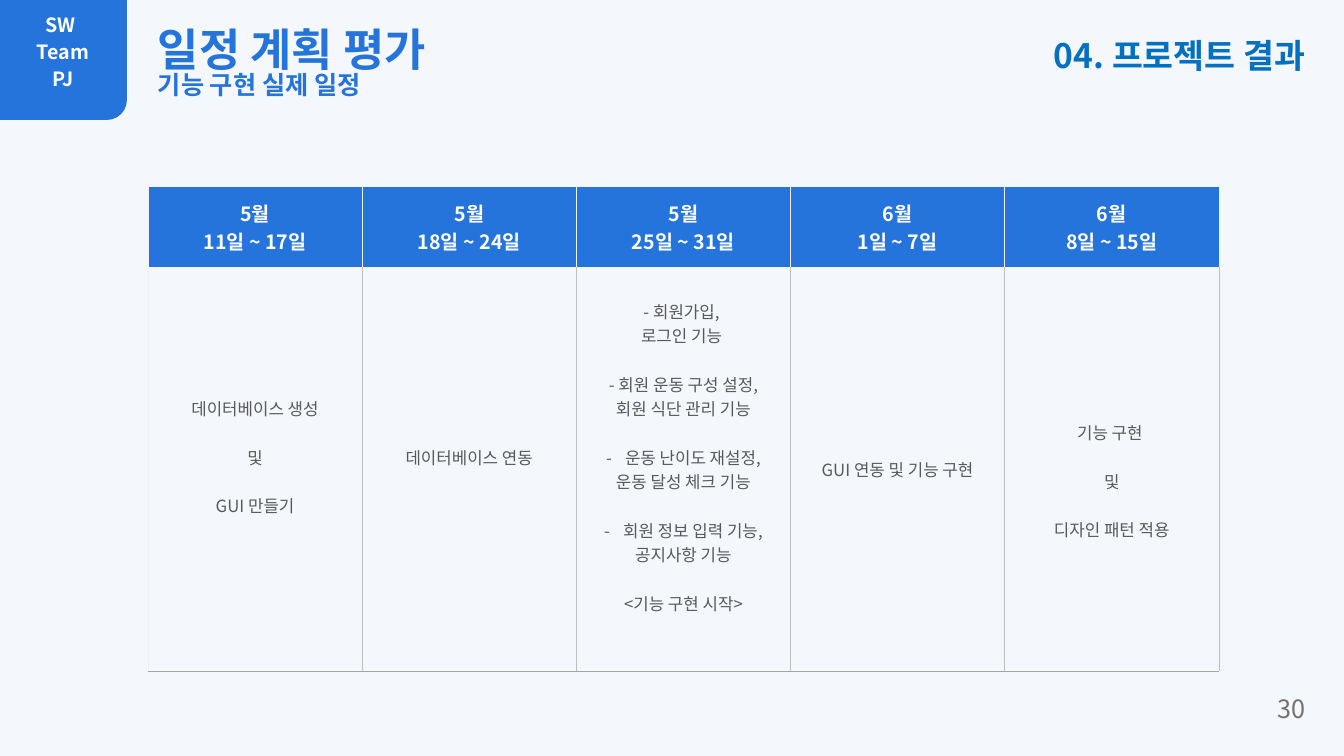
"""Build the project schedule review slide."""
from lxml import etree
from pptx import Presentation
from pptx.dml.color import RGBColor
from pptx.enum.shapes import MSO_SHAPE
from pptx.enum.text import MSO_ANCHOR, PP_ALIGN
from pptx.oxml.ns import qn
from pptx.util import Pt

LEFT, CENTER, RIGHT = PP_ALIGN.LEFT, PP_ALIGN.CENTER, PP_ALIGN.RIGHT
MIDDLE = MSO_ANCHOR.MIDDLE
ROUND_CORNER = MSO_SHAPE.ROUND_1_RECTANGLE

FONT = "Noto Sans CJK KR"
BLUE, WHITE, BODY_GRAY = "2574DB", "FFFFFF", "595959"
HEADER_RULE, COLUMN_RULE, BOTTOM_RULE = ("F2F2F2", 0.5), ("BFBFBF", 0.5), ("A6A6A6", 0.75)

SLIDE_SIZE = (1344, 756)
TAB_BOX = (0, 0, 127, 120)
TABLE_BOX = (148, 187, 1071, 484)
HEADER_HEIGHT = 80
GROUP_GAP = 17.4
BULLET_INDENT = 19
CELL_MARGIN = 5

# box, alignment, space after, lines of (text, size, colour, bold, line spacing)
LABELS = [
    ((148, 17, 662, 105), LEFT, 0, [("일정 계획 평가", 32, BLUE, True, 1.0),
                                    ("기능 구현 실제 일정", 18, BLUE, True, 0.78)]),
    ((20, 8, 86, 105), CENTER, 2.5, [(word, 14, WHITE, True, 1.0)
                                     for word in ("SW ", " Team ", "PJ")]),
    ((1194, 688, 121, 47), RIGHT, 0, [("30", 18, "767171", False, 1.0)]),
    ((790, 30, 525, 59), RIGHT, 0, [("04. 프로젝트 결과", 24, "0070C0", True, 1.0)]),
]

# month, days, extra top margin, extra bottom margin, groups of (bulleted, lines)
WEEKS = [
    ("5월", "11일 ~ 17일", 0, 24, [
        (False, ["데이터베이스 생성"]), (False, ["및"]), (False, ["GUI 만들기"])]),
    ("5월", "18일 ~ 24일", 0, 24, [(False, ["데이터베이스 연동"])]),
    ("5월", "25일 ~ 31일", 0, 24, [
        (False, ["- 회원가입, ", "로그인 기능 "]),
        (False, ["- 회원 운동 구성 설정,", "회원 식단 관리 기능"]),
        (True, ["운동 난이도 재설정,", "운동 달성 체크 기능"]),
        (True, ["회원 정보 입력 기능,", "공지사항 기능"]),
        (False, ["<기능 구현 시작>"])]),
    ("6월", "1일 ~ 7일", 0, 0, [(False, ["GUI 연동 및 기능 구현"])]),
    ("6월", "8일 ~ 15일", 24, 0, [
        (False, ["기능 구현 "]), (False, ["및"]), (False, ["디자인 패턴 적용"])]),
]


def px(length):
    return round(length * 914400 / 100.8)


def rgb(value):
    return RGBColor.from_string(value)


def add_line(frame, first, text, size, color, bold, align):
    paragraph = frame.paragraphs[0] if first else frame.add_paragraph()
    paragraph.alignment = align
    run = paragraph.add_run()
    run.text = text
    font = run.font
    font.name, font.size, font.bold = FONT, Pt(size), bold
    font.color.rgb = rgb(color)
    etree.SubElement(run._r.get_or_add_rPr(), qn("a:ea"), typeface=FONT)
    return paragraph


def add_bullet(paragraph):
    properties = paragraph._p.get_or_add_pPr()
    properties.set("marL", str(px(BULLET_INDENT)))
    properties.set("indent", str(-px(BULLET_INDENT)))
    etree.SubElement(properties, qn("a:buFont"), typeface=FONT)
    etree.SubElement(properties, qn("a:buChar"), char="-")


def set_borders(cell, **rules):
    properties = cell._tc.get_or_add_tcPr()
    for index, side in enumerate("LRTB"):
        rule = rules.get(side)
        border = etree.Element(qn("a:ln" + side))
        if rule:
            color, width = rule
            border.set("w", str(Pt(width)))
            fill = etree.SubElement(border, qn("a:solidFill"))
            etree.SubElement(fill, qn("a:srgbClr"), val=color)
        else:
            etree.SubElement(border, qn("a:noFill"))
        properties.insert(index, border)


def fill_header(cell, month, days):
    cell.vertical_anchor = MIDDLE
    cell.fill.solid()
    cell.fill.fore_color.rgb = rgb(BLUE)
    for index, text in enumerate((month, days)):
        add_line(cell.text_frame, index == 0, text, 14, WHITE, True, CENTER)
    set_borders(cell, L=HEADER_RULE, R=HEADER_RULE)


def fill_tasks(cell, groups, extra_top, extra_bottom, left_rule):
    cell.vertical_anchor = MIDDLE
    cell.fill.background()
    cell.margin_top = px(CELL_MARGIN + extra_top)
    cell.margin_bottom = px(CELL_MARGIN + extra_bottom)
    for group_index, (bulleted, lines) in enumerate(groups):
        for line_index, text in enumerate(lines):
            first = group_index == line_index == 0
            paragraph = add_line(cell.text_frame, first, text, 12, BODY_GRAY, False, CENTER)
            if line_index == 0 and group_index > 0:
                paragraph.space_before = Pt(GROUP_GAP)
            if line_index == 0 and bulleted:
                add_bullet(paragraph)
    set_borders(cell, L=left_rule, R=COLUMN_RULE, B=BOTTOM_RULE)


def add_schedule(slide):
    box = [px(length) for length in TABLE_BOX]
    schedule = slide.shapes.add_table(2, len(WEEKS), *box).table
    schedule.horz_banding = False
    schedule.rows[0].height = px(HEADER_HEIGHT)
    schedule.rows[1].height = px(TABLE_BOX[3] - HEADER_HEIGHT)
    for column, (month, days, extra_top, extra_bottom, groups) in enumerate(WEEKS):
        schedule.columns[column].width = px(TABLE_BOX[2] / len(WEEKS))
        fill_header(schedule.cell(0, column), month, days)
        left_rule = COLUMN_RULE if column else HEADER_RULE
        fill_tasks(schedule.cell(1, column), groups, extra_top, extra_bottom, left_rule)


def add_corner_tab(slide):
    tab = slide.shapes.add_shape(ROUND_CORNER, *[px(length) for length in TAB_BOX])
    tab.shadow.inherit = False
    tab.fill.solid()
    tab.fill.fore_color.rgb = rgb(BLUE)
    tab.line.fill.background()
    tab._element.spPr.xfrm.set("flipV", "1")


def add_label(slide, box, align, space_after, lines):
    frame = slide.shapes.add_textbox(*[px(length) for length in box]).text_frame
    frame.word_wrap = True
    for index, (text, size, color, bold, spacing) in enumerate(lines):
        paragraph = add_line(frame, index == 0, text, size, color, bold, align)
        paragraph.line_spacing = spacing
        paragraph.space_after = Pt(space_after)


def main():
    deck = Presentation()
    deck.slide_width, deck.slide_height = [px(length) for length in SLIDE_SIZE]
    slide = deck.slides.add_slide(deck.slide_layouts[6])
    slide.background.fill.solid()
    slide.background.fill.fore_color.rgb = rgb("F4F7FC")
    add_schedule(slide)
    add_corner_tab(slide)
    for label in LABELS:
        add_label(slide, *label)
    deck.save("out.pptx")


if __name__ == "__main__":
    main()
